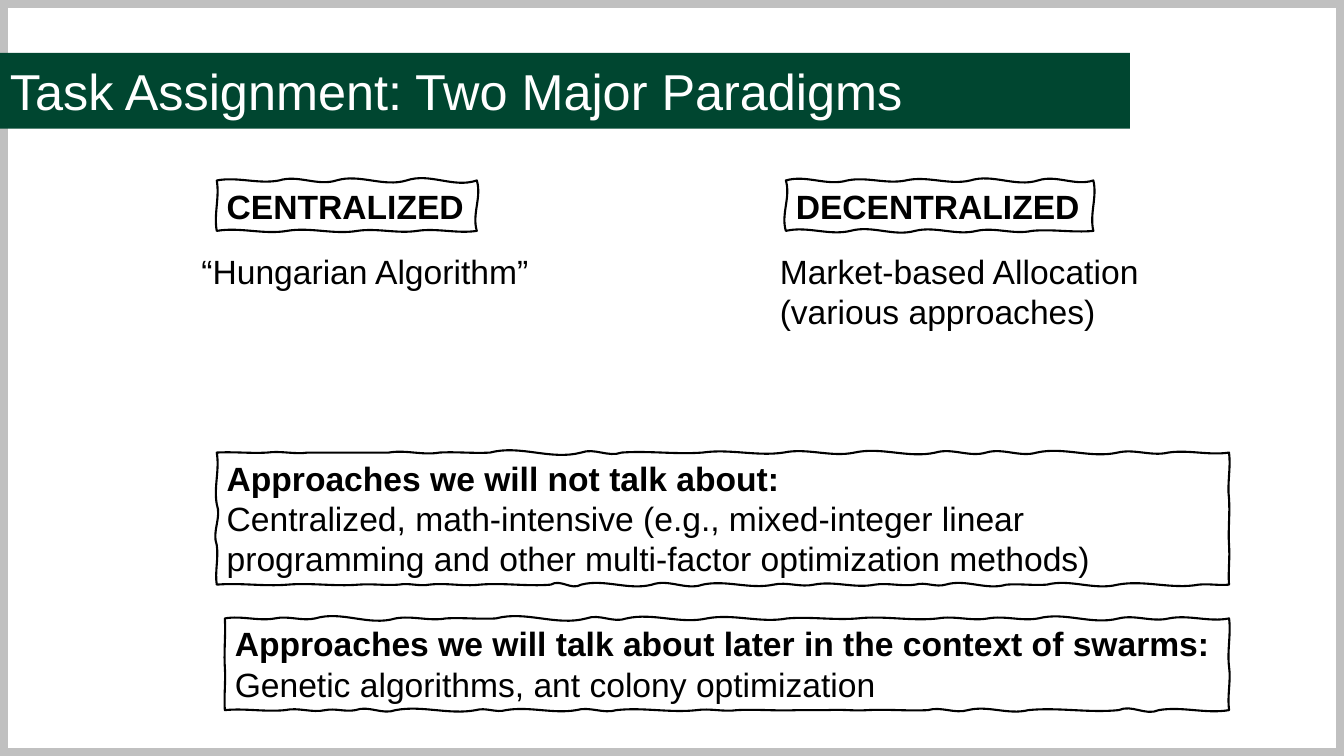
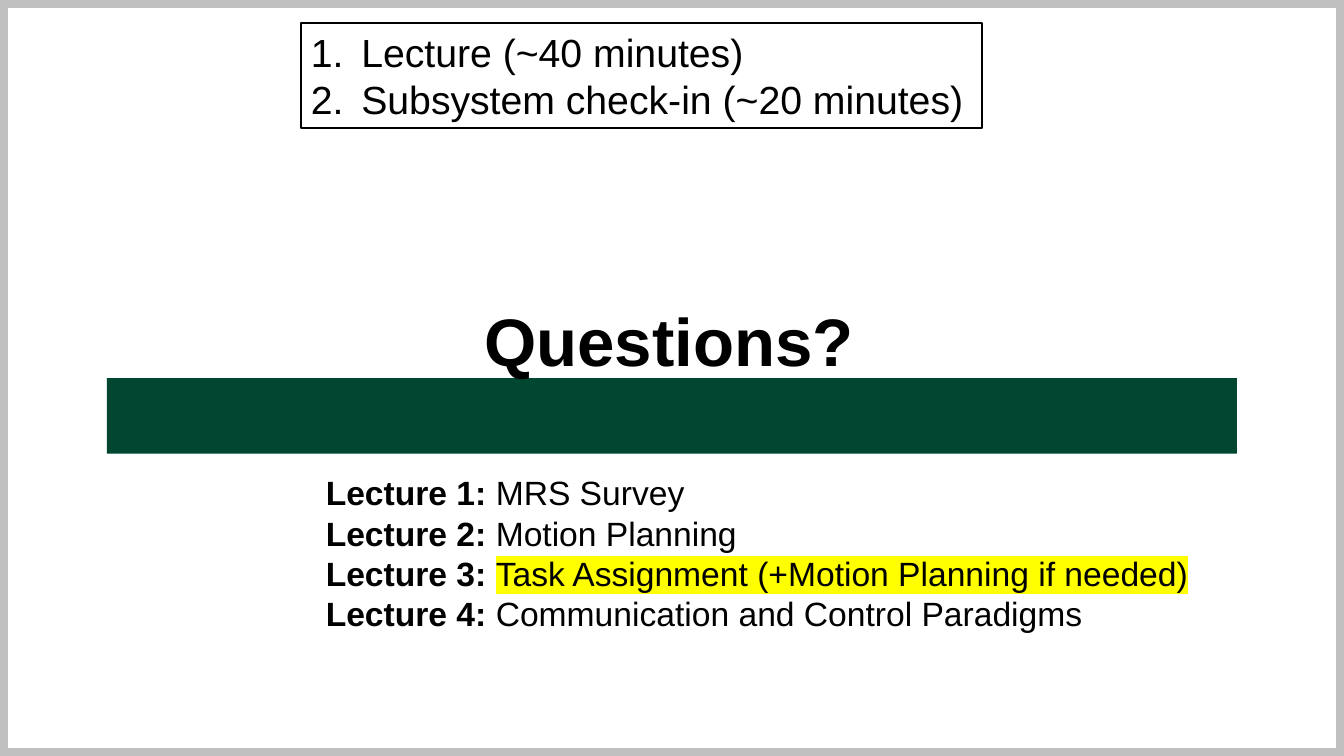
from dataclasses import dataclass

from lxml.etree import SubElement
from pptx import Presentation
from pptx.dml.color import RGBColor
from pptx.enum.shapes import MSO_SHAPE
from pptx.enum.text import MSO_ANCHOR, PP_ALIGN
from pptx.oxml.ns import qn
from pptx.shapes.autoshape import Shape
from pptx.slide import Slide
from pptx.util import Emu, Inches, Pt

COLORS = {"green": "004630", "frame": "C0C0C0", "ink": "000000",
          "paper": "FFFFFF", "marker": "FFFF00"}
FONT = "Arial"
WIDTH, HEIGHT = Inches(13.33), Inches(7.5)
BODY_SIZE, AGENDA_SIZE, TITLE_SIZE, CLOSING_SIZE = 24, 28, 36, 48
ONE_LINE, TWO_LINES = 6.67, 12.13

Point = tuple[int, int]


@dataclass(frozen=True)
class Box:
    """A rectangle in percent of the slide's width and height."""
    left: float
    top: float
    width: float
    height: float

    def emu(self) -> tuple[Emu, Emu, Emu, Emu]:
        return (Emu(round(WIDTH * self.left / 100)), Emu(round(HEIGHT * self.top / 100)),
                Emu(round(WIDTH * self.width / 100)), Emu(round(HEIGHT * self.height / 100)))


@dataclass(frozen=True)
class Span:
    text: str
    bold: bool = False
    marked: bool = False


Paragraphs = list[list[Span]]


@dataclass(frozen=True)
class Side:
    """Waves along one side: where each ends (percent) and its swing (1/100 inch)."""
    ends: tuple[int, ...]
    swings: tuple[int, ...]

    def curves(self, corner: Point, run: Point, outward: Point) -> list[list[Point]]:
        """Two control points and the end point of each wave."""
        curves = []
        for start, end, swing in zip((0, *self.ends), self.ends, self.swings):
            third = (end - start) / 3
            out = Inches(swing / 100)
            steps = ((start + third, out), (end - third, -out), (end, 0))
            curves.append([
                (round(corner[0] + run[0] * share / 100 + outward[0] * offset),
                 round(corner[1] + run[1] * share / 100 + outward[1] * offset))
                for share, offset in steps])
        return curves


@dataclass(frozen=True)
class SketchedNote:
    box: Box
    sides: tuple[Side, Side, Side, Side]  # top, right, bottom, left
    paragraphs: Paragraphs


@dataclass(frozen=True)
class Label:
    box: Box
    paragraphs: Paragraphs


LONG_TOP = (5, 9, 17, 22, 27, 36, 40, 48, 56, 63, 71, 76, 81, 89, 94, 100)
WHOLE = (100,)

NOTES = [
    SketchedNote(
        Box(16.13, 23.87, 19.35, ONE_LINE),
        (Side((24, 46, 73, 100), (4, 6, 7, 8)), Side(WHOLE, (5,)),
         Side((23, 46, 73, 100), (3, 3, 4, 4)), Side(WHOLE, (3,))),
        [[Span("CENTRALIZED", bold=True)]]),
    SketchedNote(
        Box(58.47, 23.87, 22.88, ONE_LINE),
        (Side((20, 39, 60, 82, 100), (6, 4, 5, 7, 6)), Side(WHOLE, (4,)),
         Side((20, 38, 58, 79, 100), (2, 4, 5, 6, 5)), Side(WHOLE, (5,))),
        [[Span("DECENTRALIZED", bold=True)]]),
    SketchedNote(
        Box(16.73, 81.8, 74.72, TWO_LINES),
        (Side(LONG_TOP, (3, 3, 8, 3, 1, 8, 5, 6, 5, 2, 3, 3, 3, 7, 4, 4)),
         Side((53, 100), (2, 2)),
         Side((7, 11, 20, 26, 30, 36, 40, 43, 49, 53, 61, 65, 72, 75, 83, 87, 90, 94, 100),
              (4, 6, 3, 5, 4, 1, 1, 0, 1, 2, 3, 4, 4, 3, 5, 5, 2, 3, 2)),
         Side((47, 100), (1, 1))),
        [[Span("Approaches we will talk about later in the context of swarms:", bold=True)],
         [Span("Genetic algorithms, ant colony optimization")]]),
    SketchedNote(
        Box(16.13, 59.87, 75.32, 17.47),
        (Side(LONG_TOP, (1, 2, 0, 3, 1, 8, 5, 2, 4, 5, 6, 5, 5, 6, 4, 3)),
         Side((35, 70, 100), (2, 1, 1)),
         Side((3, 11, 18, 22, 28, 31, 35, 41, 45, 52, 57, 64, 67, 74, 79, 82, 86, 93, 100),
              (1, 5, 6, 1, 6, 3, 2, 4, 3, 5, 6, 6, 6, 2, 2, 2, 1, 2, 2)),
         Side((30, 61, 100), (2, 5, 3))),
        [[Span("Approaches we will not talk about:", bold=True)],
         [Span("Centralized, math-intensive (e.g., mixed-integer linear programming "
               "and other multi-factor optimization methods)")]]),
]

PARADIGMS = [
    Label(Box(14.25, 32.53, 26.18, ONE_LINE), [[Span("“Hungarian Algorithm”")]]),
    Label(Box(57.28, 32.53, 28.51, TWO_LINES),
          [[Span("Market-based Allocation")], [Span("(various approaches)")]]),
]

AGENDA = [[Span("Lecture (~40 minutes)")], [Span("Subsystem check-in (~20 minutes)")]]

LECTURES = [
    [Span(f"Lecture {position}: ", bold=True), Span(topic, marked=position == 3)]
    for position, topic in enumerate(
        ("MRS Survey", "Motion Planning", "Task Assignment (+Motion Planning if needed)",
         "Communication and Control Paradigms"), start=1)
]


def color(name: str) -> RGBColor:
    return RGBColor.from_string(COLORS[name])


def write(shape: Shape, paragraphs: Paragraphs, size: int = BODY_SIZE, ink: str = "ink",
          anchor: MSO_ANCHOR = MSO_ANCHOR.TOP, numbered: bool = False) -> None:
    frame = shape.text_frame
    frame.word_wrap = True
    frame.vertical_anchor = anchor
    for index, spans in enumerate(paragraphs):
        paragraph = frame.add_paragraph() if index else frame.paragraphs[0]
        paragraph.alignment = PP_ALIGN.LEFT
        if numbered:
            number(paragraph)
        for span in spans:
            run = paragraph.add_run()
            run.text = span.text
            font = run.font
            font.name, font.size, font.bold = FONT, Pt(size), span.bold
            font.color.rgb = color(ink)
            if span.marked:
                mark(run)


def number(paragraph) -> None:
    properties = paragraph._p.get_or_add_pPr()
    properties.set("marL", str(Inches(0.5)))
    properties.set("indent", str(-Inches(0.5)))
    SubElement(properties, qn("a:buFont"), typeface="+mj-lt")
    SubElement(properties, qn("a:buAutoNum"), type="arabicPeriod")


def mark(run) -> None:
    """Highlight a run; the element must follow the text fill."""
    properties = run._r.get_or_add_rPr()
    highlight = SubElement(properties, qn("a:highlight"))
    SubElement(highlight, qn("a:srgbClr"), val=COLORS["marker"])
    properties.find(qn("a:solidFill")).addnext(highlight)


def style(shape: Shape, fill: str = "", line: str = "", weight: float = 1.5) -> Shape:
    shape.shadow.inherit = False
    if fill:
        shape.fill.solid()
        shape.fill.fore_color.rgb = color(fill)
    else:
        shape.fill.background()
    if line:
        shape.line.color.rgb = color(line)
        shape.line.width = Pt(weight)
    else:
        shape.line.fill.background()
    return shape


def add_rectangle(page: Slide, box: Box, **look) -> Shape:
    return style(page.shapes.add_shape(MSO_SHAPE.RECTANGLE, *box.emu()), **look)


def add_text(page: Slide, box: Box, paragraphs: Paragraphs, **look) -> None:
    write(page.shapes.add_textbox(*box.emu()), paragraphs, **look)


def add_page(deck, band_left: float, band_top: float) -> Slide:
    """A blank page with the grey frame and the green band."""
    page = deck.slides.add_slide(deck.slide_layouts[6])
    add_rectangle(page, Box(0, 0, 100, 100), line="frame", weight=12)
    add_rectangle(page, Box(band_left, band_top, 84.08, 10), fill="green")
    return page


def bend(shape: Shape, curves: list[list[Point]]) -> None:
    """Turn the straight segments of a freeform into the given curves."""
    segments = list(shape._element.iter(qn("a:lnTo")))
    for segment, curve in zip(segments, curves):
        segment.tag = qn("a:cubicBezTo")
        for point in list(segment):
            segment.remove(point)
        for x, y in curve:
            SubElement(segment, qn("a:pt"), x=str(x), y=str(y))


def add_sketched_note(page: Slide, note: SketchedNote) -> None:
    """Draw a wavy outline clockwise from the top left corner, with text inside."""
    left, top, width, height = note.box.emu()
    edges = (((0, 0), (width, 0), (0, -1)),
             ((width, 0), (0, height), (1, 0)),
             ((width, height), (-width, 0), (0, 1)),
             ((0, height), (0, -height), (-1, 0)))
    curves = [curve for side, edge in zip(note.sides, edges) for curve in side.curves(*edge)]
    builder = page.shapes.build_freeform(0, 0)
    builder.add_line_segments([curve[-1] for curve in curves], close=True)
    shape = style(builder.convert_to_shape(left, top), line="ink")
    bend(shape, curves)
    write(shape, note.paragraphs)


def add_paradigms_page(deck) -> None:
    page = add_page(deck, 0, 7)
    add_text(page, Box(0, 7.55, 77.35, 8.8), [[Span("Task Assignment: Two Major Paradigms")]],
             size=TITLE_SIZE, ink="paper", anchor=MSO_ANCHOR.MIDDLE)
    for label in PARADIGMS:
        add_text(page, label.box, label.paragraphs)
    for note in NOTES:
        add_sketched_note(page, note)


def add_questions_page(deck) -> None:
    page = add_page(deck, 7.95, 50)
    add_text(page, Box(35.3, 38.93, 29.33, TWO_LINES), [[Span("Questions?", bold=True)]],
             size=CLOSING_SIZE)
    agenda = add_rectangle(page, Box(22.4, 3.07, 50.64, 13.87), line="ink")
    write(agenda, AGENDA, size=AGENDA_SIZE, numbered=True)
    add_text(page, Box(23.5, 61.8, 66.32, 22.93), LECTURES)


def main() -> None:
    deck = Presentation()
    deck.slide_width, deck.slide_height = WIDTH, HEIGHT
    add_paradigms_page(deck)
    add_questions_page(deck)
    deck.save("out.pptx")


if __name__ == "__main__":
    main()
